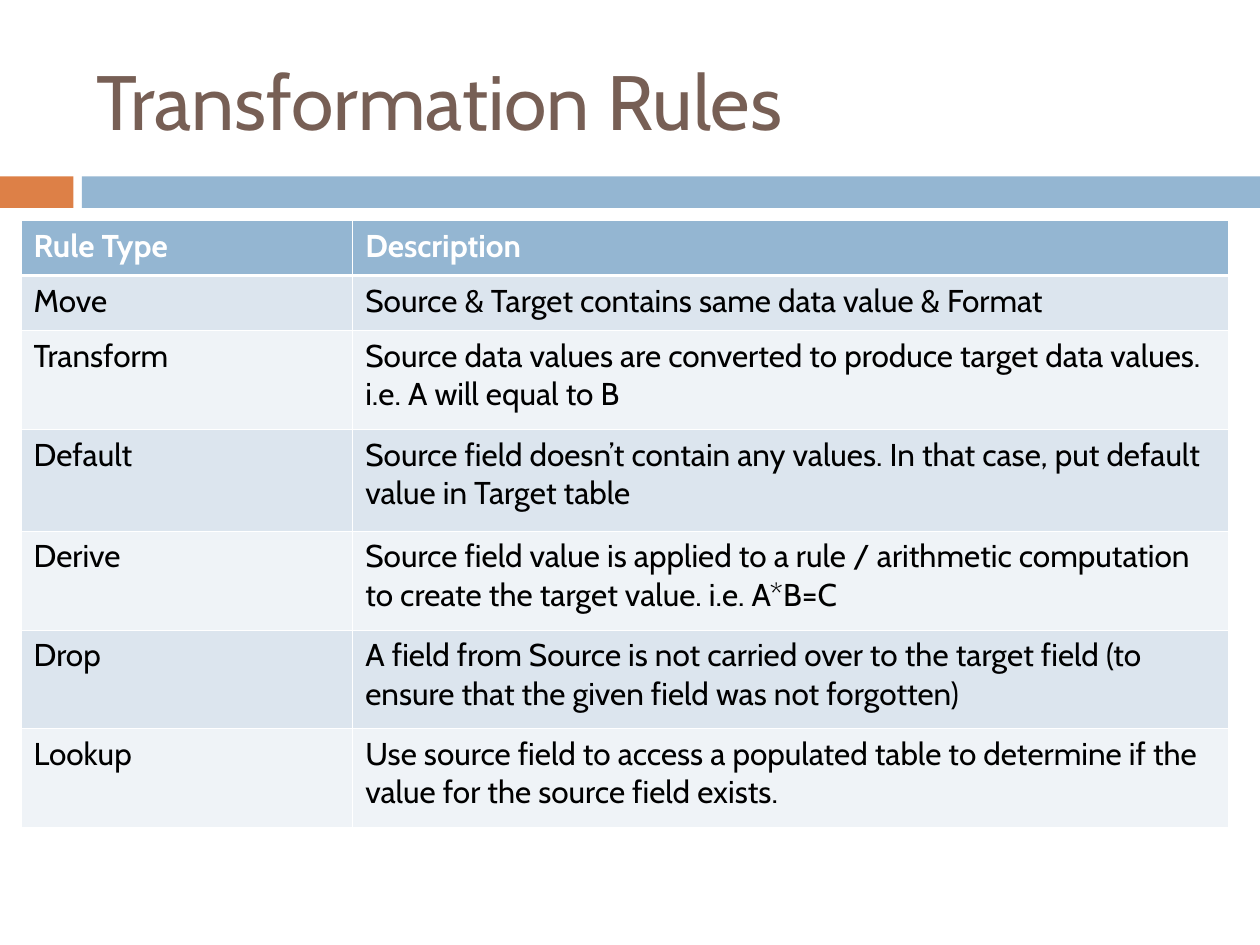
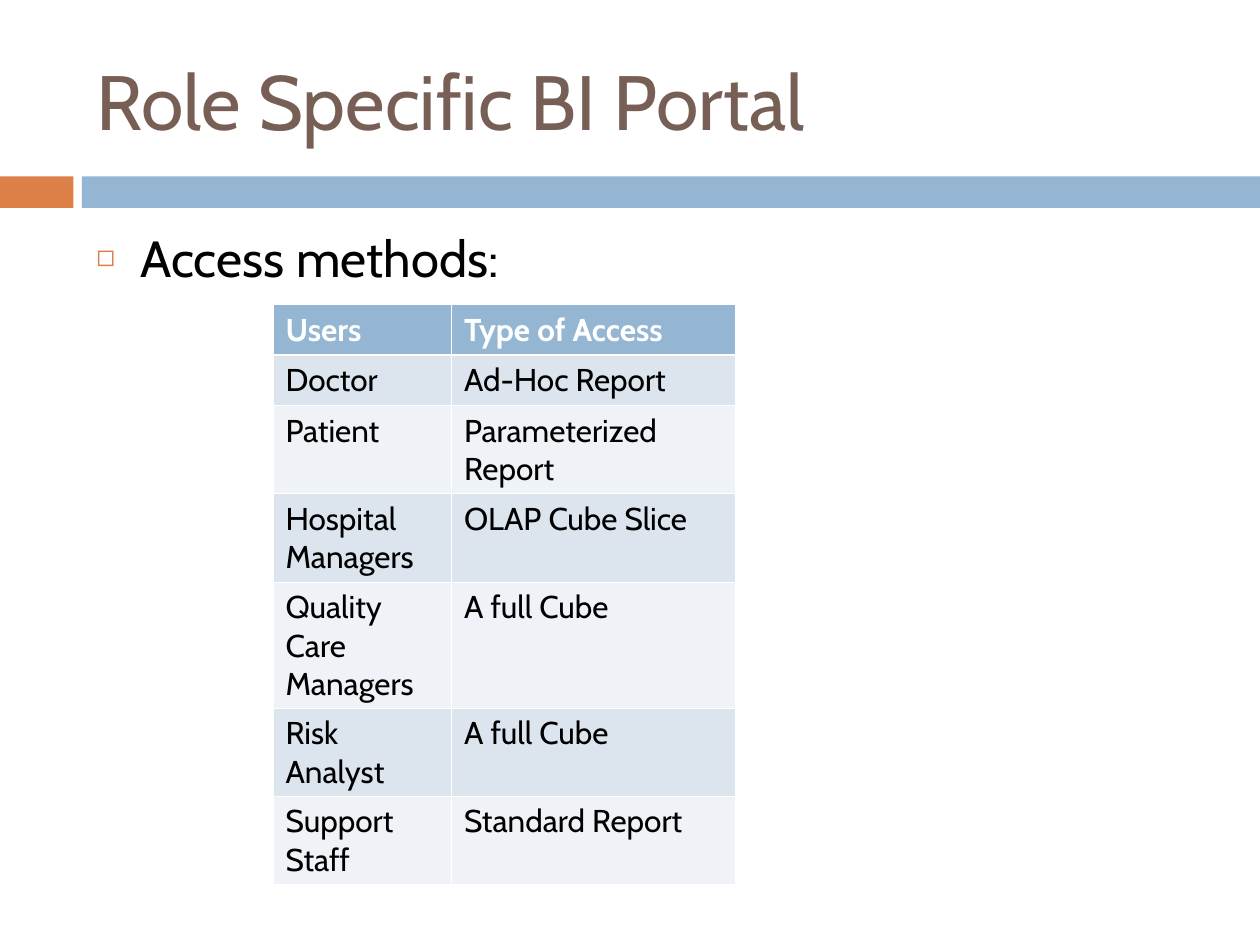
from lxml.etree import SubElement
from pptx import Presentation
from pptx.dml.color import RGBColor
from pptx.enum.shapes import MSO_SHAPE
from pptx.enum.text import MSO_ANCHOR as ANCHOR
from pptx.oxml.ns import qn
from pptx.util import Inches, Pt

COLORS = {
    "orange": "DD8047", "blue": "94B6D2", "brown": "775F55",
    "dark row": "DCE5EE", "light row": "EFF3F7",
    "white": "FFFFFF", "black": "000000",
}
FONT = "Cabin"

deck = Presentation()
deck.slide_width, deck.slide_height = Inches(10), Inches(7.5)
UNIT = deck.slide_width / 120  # the grid has 120 columns and 90 rows


def grid(*counts):
    return [round(count * UNIT) for count in counts]


def write(frame, text, size=18, color="black", bold=False, anchor=ANCHOR.TOP, bullet=None):
    frame.word_wrap = True
    frame.vertical_anchor = anchor
    paragraph = frame.paragraphs[0]
    if bullet:
        props = paragraph._p.get_or_add_pPr()
        props.set("marL", str(Inches(0.35)))
        props.set("indent", str(-Inches(0.35)))
        SubElement(SubElement(props, qn("a:buClr")), qn("a:srgbClr"), val=COLORS["orange"])
        SubElement(props, qn("a:buSzPct"), val="60000")
        SubElement(props, qn("a:buFont"), typeface=FONT)
        SubElement(props, qn("a:buChar"), char=bullet)
    run = paragraph.add_run()
    run.text = text
    run.font.name, run.font.size, run.font.bold = FONT, Pt(size), bold
    run.font.color.rgb = RGBColor.from_string(COLORS[color])


# Shared layout: (left, top, width, height, color) in grid units
BANDS = [(0, 16.8, 7, 3, "orange"), (7.8, 16.8, 112.2, 3, "blue")]
TITLE = (8, 3, 107, 13)
BODY = (8, 21, 107, 63)

# Content
topics = [
    {
        "title": "Transformation Rules",
        "corner": (2, 21),
        "columns": (31.6, 83.4),
        "rows": (5.25, 5.25, 9.4, 9.7, 9.4, 9.4, 9.4),
        "entries": [
            ("Rule Type", "Description"),
            ("Move", "Source & Target contains same data value & Format"),
            ("Transform", "Source data values are converted to produce target data values. "
                          "i.e. A will equal to B"),
            ("Default", "Source field doesn’t contain any values. In that case, "
                        "put default value in Target table"),
            ("Derive", "Source field value is applied to a rule / arithmetic computation "
                       "to create the target value. i.e. A*B=C"),
            ("Drop", "A field from Source is not carried over to the target field "
                     "(to ensure that the given field was not forgotten)"),
            ("Lookup", "Use source field to access a populated table to determine "
                       "if the value for the source field exists."),
        ],
    },
    {
        "title": "Role Specific BI Portal",
        "body": "Access methods:",
        "corner": (26, 29),
        "columns": (17, 27),
        "rows": (4.8, 4.8, 8.4, 8.4, 12, 8.4, 8.4),
        "entries": [
            ("Users", "Type of Access"),
            ("Doctor", "Ad-Hoc Report"),
            ("Patient", "Parameterized Report"),
            ("Hospital Managers", "OLAP Cube Slice"),
            ("Quality Care Managers", "A full Cube"),
            ("Risk Analyst", "A full Cube"),
            ("Support Staff", "Standard Report"),
        ],
    },
]

for topic in topics:
    slide = deck.slides.add_slide(deck.slide_layouts[6])

    # Bands and title
    for *area, color in BANDS:
        band = slide.shapes.add_shape(MSO_SHAPE.RECTANGLE, *grid(*area))
        band.shadow.inherit = False
        band.fill.solid()
        band.fill.fore_color.rgb = RGBColor.from_string(COLORS[color])
        band.line.fill.background()
    heading = slide.shapes.add_textbox(*grid(*TITLE))
    write(heading.text_frame, topic["title"], size=44, color="brown", anchor=ANCHOR.MIDDLE)

    # Bulleted lead-in
    if "body" in topic:
        lead_in = slide.shapes.add_textbox(*grid(*BODY))
        write(lead_in.text_frame, topic["body"], size=29, bullet="◻")

    # Table
    columns, rows, entries = topic["columns"], topic["rows"], topic["entries"]
    listing = slide.shapes.add_table(
        len(rows), len(columns), *grid(*topic["corner"], sum(columns), sum(rows))).table
    for column, width in zip(listing.columns, grid(*columns)):
        column.width = width
    for row, height in zip(listing.rows, grid(*rows)):
        row.height = height

    for r, entry in enumerate(entries):
        header = r == 0
        shade = "blue" if header else "dark row" if r % 2 else "light row"
        for c, text in enumerate(entry):
            cell = listing.cell(r, c)
            write(cell.text_frame, text, color="white" if header else "black", bold=header)
            # The rule under the header is thicker than the others
            thick_side = {0: "lnB", 1: "lnT"}.get(r)
            for side in ("lnL", "lnR", "lnT", "lnB"):
                weight = Pt(1.47 if side == thick_side else 0.45)
                border = SubElement(cell._tc.get_or_add_tcPr(), qn(f"a:{side}"), w=str(weight))
                SubElement(SubElement(border, qn("a:solidFill")), qn("a:srgbClr"),
                           val=COLORS["white"])
            cell.fill.solid()
            cell.fill.fore_color.rgb = RGBColor.from_string(COLORS[shade])

deck.save("out.pptx")
